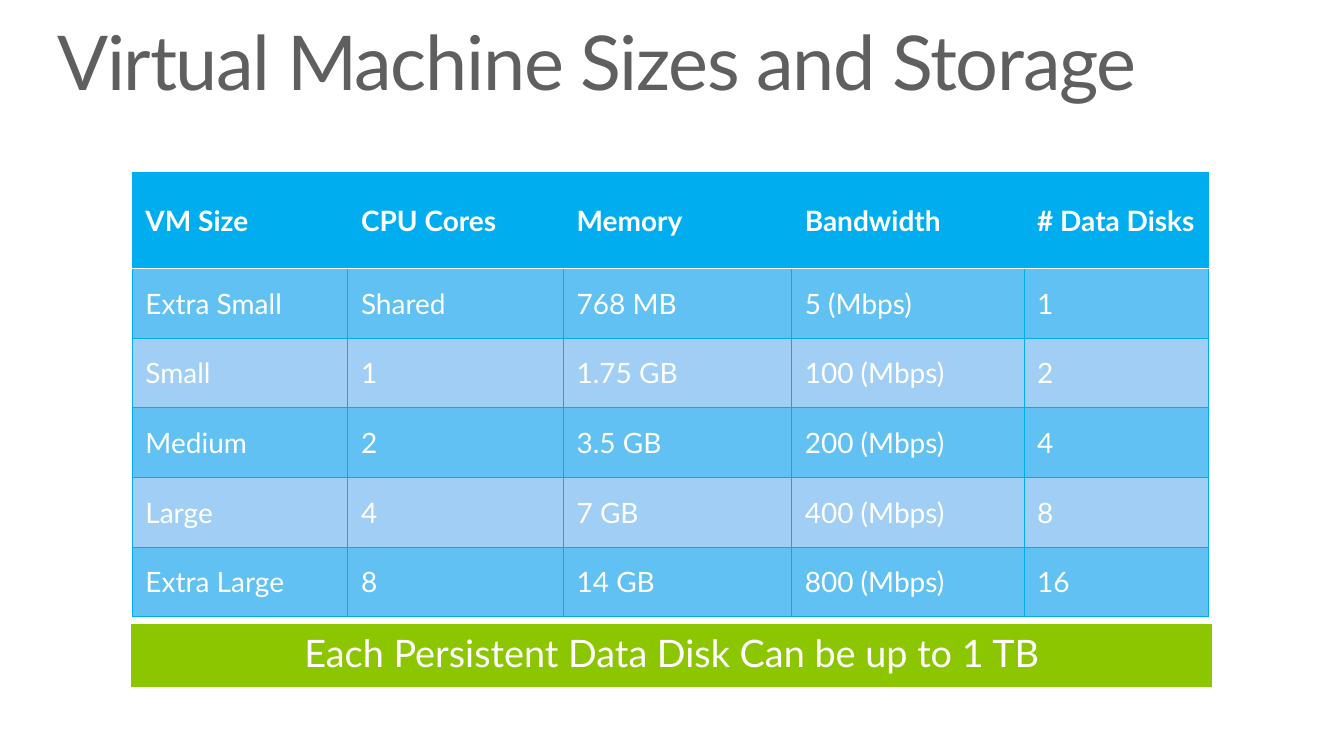
import pptx
import pptx.dml.color
import pptx.enum.shapes
import pptx.enum.text
import pptx.oxml
import pptx.util

Pt = pptx.util.Pt
RGBColor = pptx.dml.color.RGBColor
MIDDLE = pptx.enum.text.MSO_ANCHOR.MIDDLE

GREY = RGBColor(0x5F, 0x5F, 0x5F)
WHITE = RGBColor(0xFF, 0xFF, 0xFF)
GREEN = RGBColor(0x8C, 0xC6, 0x00)
BLUE = RGBColor(0x00, 0xAE, 0xEF)
MID_BLUE = RGBColor(0x60, 0xC1, 0xF2)
PALE_BLUE = RGBColor(0xA0, 0xCE, 0xF4)

ROWS = [
    ["VM Size", "CPU Cores", "Memory", "Bandwidth", "# Data Disks"],
    ["Extra Small", "Shared", "768 MB", "5 (Mbps)", "1"],
    ["Small", "1", "1.75 GB", "100 (Mbps)", "2"],
    ["Medium", "2", "3.5 GB", "200 (Mbps)", "4"],
    ["Large", "4", "7 GB", "400 (Mbps)", "8"],
    ["Extra Large", "8", "14 GB", "800 (Mbps)", "16"],
]
COLUMN_WIDTHS = [154, 154, 163, 166, 132]
HEADER_HEIGHT, ROW_HEIGHT = 69, 49.7


def add_run(p, text, size, color, bold=False):
    r = p.add_run()
    r.text = text
    r.font.name = "Lato"
    r.font.size = Pt(size)
    r.font.color.rgb = color
    r.font.bold = bold
    return r


def add_border(cell, side, color, width):
    """Draw one side (L, R, T or B) of a cell; call before setting its fill."""
    cell._tc.get_or_add_tcPr().append(pptx.oxml.parse_xml(
        f'<a:ln{side} xmlns:a="http://schemas.openxmlformats.org/drawingml/2006/main" '
        f'w="{Pt(width)}"><a:solidFill><a:srgbClr val="{color}"/></a:solidFill></a:ln{side}>'))


prs = pptx.Presentation()
prs.slide_width, prs.slide_height = Pt(960), Pt(540)
s = prs.slides.add_slide(prs.slide_layouts[6])

# Title
title = s.shapes.add_textbox(Pt(41), Pt(18), Pt(878), Pt(60))
tf = title.text_frame
tf.word_wrap = True
tf.margin_left = tf.margin_right = tf.margin_top = tf.margin_bottom = 0
p = tf.paragraphs[0]
p.line_spacing = 0.9
r = add_run(p, "Virtual Machine Sizes and Storage", 54, GREY)
r.font._element.set("spc", "-100")

# Storage banner
banner = s.shapes.add_shape(pptx.enum.shapes.MSO_SHAPE.RECTANGLE,
                            Pt(92), Pt(444), Pt(775.5), Pt(48))
banner.shadow.inherit = False
banner.fill.solid()
banner.fill.fore_color.rgb = GREEN
banner.line.color.rgb = WHITE
banner.line.width = Pt(3)
tf = banner.text_frame
tf.word_wrap = True
tf.vertical_anchor = MIDDLE
tf.margin_left = tf.margin_right = tf.margin_top = tf.margin_bottom = Pt(9.4)
p = tf.paragraphs[0]
p.alignment = pptx.enum.text.PP_ALIGN.CENTER
p.line_spacing = 0.9
add_run(p, "Each Persistent Data Disk Can be up to 1 TB", 27, WHITE)

# Table of sizes
table_height = HEADER_HEIGHT + ROW_HEIGHT * (len(ROWS) - 1)
table = s.shapes.add_table(len(ROWS), len(COLUMN_WIDTHS), Pt(94.5), Pt(123),
                           Pt(sum(COLUMN_WIDTHS)), Pt(table_height)).table
table.horz_banding = False
for column, width in zip(table.columns, COLUMN_WIDTHS):
    column.width = Pt(width)
for i, values in enumerate(ROWS):
    header = i == 0
    table.rows[i].height = Pt(HEADER_HEIGHT if header else ROW_HEIGHT)
    for j, value in enumerate(values):
        cell = table.cell(i, j)
        cell.vertical_anchor = MIDDLE
        cell.margin_left = cell.margin_right = Pt(9.4)
        cell.margin_top = cell.margin_bottom = Pt(5)
        for side in "LRTB":
            under_header = (i, side) in [(0, "B"), (1, "T")]
            add_border(cell, side, WHITE if under_header else BLUE,
                       0.85 if under_header else 0.75)
        cell.fill.solid()
        cell.fill.fore_color.rgb = BLUE if header else MID_BLUE if i % 2 else PALE_BLUE
        add_run(cell.text_frame.paragraphs[0], value, 20, WHITE, bold=header)

prs.save("out.pptx")
